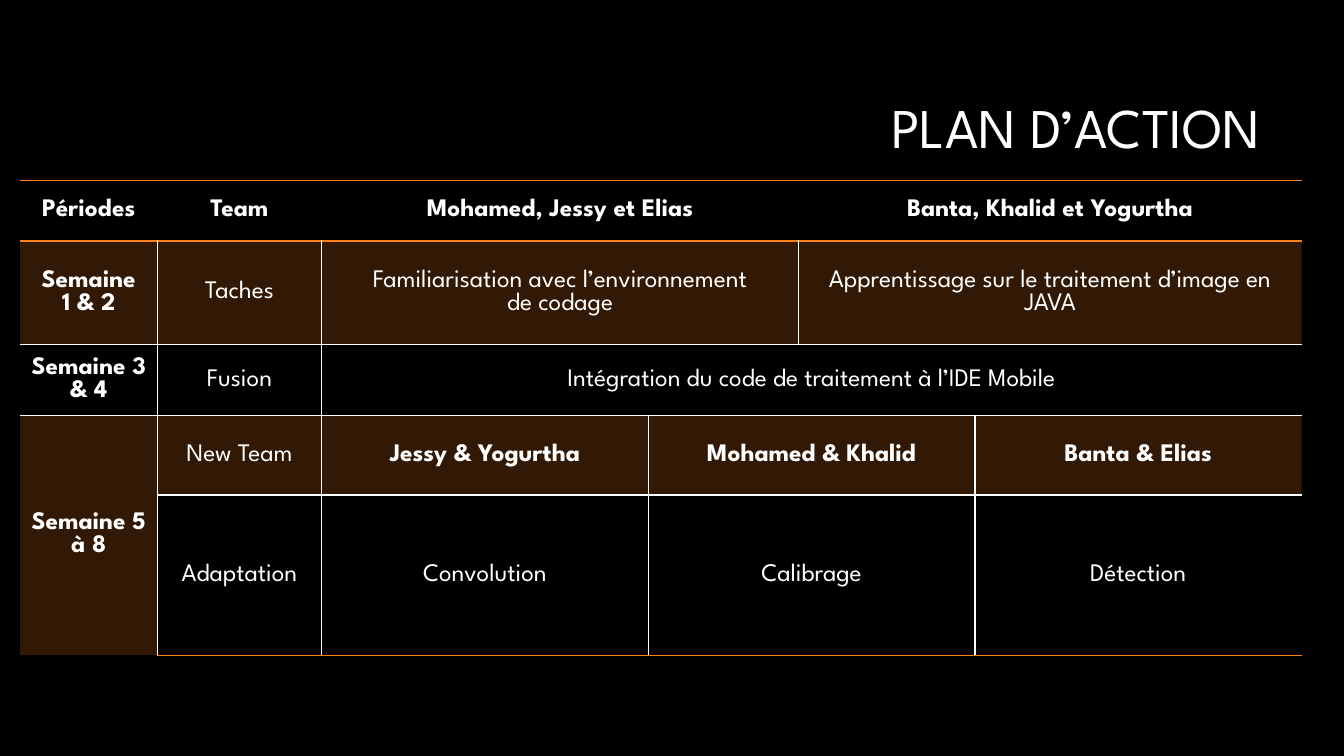
from lxml import etree
from pptx import Presentation
from pptx.dml.color import RGBColor
from pptx.enum.text import MSO_ANCHOR, PP_ALIGN
from pptx.oxml.ns import qn
from pptx.util import Inches, Pt

TITLE = "PLAN D’ACTION"
COLUMN_WIDTHS = [1.36, 1.63, 3.24, 1.49, 1.75, 3.24]
ROW_HEIGHTS = [0.6, 1.03, 0.62, 0.79, 1.59]
# Each row: (column, rows spanned, columns spanned, text, bold)
PLAN = [
    [(0, 1, 1, "Périodes", True), (1, 1, 1, "Team", True),
     (2, 1, 2, "Mohamed, Jessy et Elias", True),
     (4, 1, 2, "Banta, Khalid et Yogurtha", True)],
    [(0, 1, 1, "Semaine\n1 & 2", True), (1, 1, 1, "Taches", False),
     (2, 1, 2, "Familiarisation avec l’environnement\nde codage", False),
     (4, 1, 2, "Apprentissage sur le traitement d’image en JAVA", False)],
    [(0, 1, 1, "Semaine 3 & 4", True), (1, 1, 1, "Fusion", False),
     (2, 1, 4, "Intégration du code de traitement à l’IDE Mobile", False)],
    [(0, 2, 1, "Semaine 5 à 8", True), (1, 1, 1, "New Team", False),
     (2, 1, 1, "Jessy & Yogurtha", True),
     (3, 1, 2, "Mohamed & Khalid", True),
     (5, 1, 1, "Banta & Elias", True)],
    [(1, 1, 1, "Adaptation", False), (2, 1, 1, "Convolution", False),
     (3, 1, 2, "Calibrage", False), (5, 1, 1, "Détection", False)],
]
TINTED_ROWS = {1, 3}
ACCENT_RULES = {0, 1, len(ROW_HEIGHTS)}
COLORS = {"background": "000000", "text": "FFFFFF", "accent": "FE801A"}
FONT = "League Spartan"


def write(frame, text, size, align, bold=False):
    frame.text = text
    for paragraph in frame.paragraphs:
        paragraph.alignment = align
        for run in paragraph.runs:
            run.font.name = FONT
            run.font.size = Pt(size)
            run.font.bold = bold
            run.font.color.rgb = RGBColor.from_string(COLORS["text"])


def draw_borders(cell, edges):
    """Draw the edges, given as tag to colour name; None hides an edge."""
    properties = cell._tc.get_or_add_tcPr()
    for tag in ("lnL", "lnR", "lnT", "lnB"):
        line = etree.SubElement(properties, qn(f"a:{tag}"), w=str(Pt(1)))
        if edges[tag]:
            fill = etree.SubElement(line, qn("a:solidFill"))
            etree.SubElement(fill, qn("a:srgbClr"), val=COLORS[edges[tag]])
        else:
            etree.SubElement(line, qn("a:noFill"))


def tint(cell, tinted):
    if not tinted:
        cell.fill.background()
        return
    cell.fill.solid()
    cell.fill.fore_color.rgb = RGBColor.from_string(COLORS["accent"])
    color = cell._tc.tcPr.find(qn("a:solidFill")).find(qn("a:srgbClr"))
    etree.SubElement(color, qn("a:alpha"), val="20000")


def column_rule(index, row):
    inside = 0 < index < len(COLUMN_WIDTHS)
    return "text" if inside and row > 0 else None


def row_rule(index):
    return "accent" if index in ACCENT_RULES else "text"


def fill_block(table, top, left, rows, columns, text, bold):
    """Fill one cell or merged block, ruling only its outer edges."""
    bottom, right = top + rows, left + columns
    origin = table.cell(top, left)
    if rows * columns > 1:
        origin.merge(table.cell(bottom - 1, right - 1))
    for row in range(top, bottom):
        for column in range(left, right):
            cell = table.cell(row, column)
            draw_borders(cell, {
                "lnL": column_rule(left, row) if column == left else None,
                "lnR": column_rule(right, row) if column == right - 1 else None,
                "lnT": row_rule(top) if row == top else None,
                "lnB": row_rule(bottom) if row == bottom - 1 else None,
            })
            tint(cell, top in TINTED_ROWS)
    origin.vertical_anchor = MSO_ANCHOR.MIDDLE
    origin.margin_left = origin.margin_right = Inches(0.11)
    write(origin.text_frame, text, 18, PP_ALIGN.CENTER, bold)


def add_title(slide):
    title = slide.shapes.add_textbox(
        Inches(3.18), Inches(0.59), Inches(9.42), Inches(1.41)).text_frame
    title.word_wrap = True
    title.vertical_anchor = MSO_ANCHOR.MIDDLE
    write(title, TITLE, 40, PP_ALIGN.RIGHT)
    title.paragraphs[0].line_spacing = 0.9


def add_plan(slide):
    table = slide.shapes.add_table(
        len(ROW_HEIGHTS), len(COLUMN_WIDTHS), Inches(0.2), Inches(1.79),
        Inches(sum(COLUMN_WIDTHS)), Inches(sum(ROW_HEIGHTS))).table
    table.first_row = table.horz_banding = False
    for column, width in zip(table.columns, COLUMN_WIDTHS):
        column.width = Inches(width)
    for row, height in zip(table.rows, ROW_HEIGHTS):
        row.height = Inches(height)
    for top, blocks in enumerate(PLAN):
        for left, rows, columns, text, bold in blocks:
            fill_block(table, top, left, rows, columns, text, bold)


def main():
    deck = Presentation()
    deck.slide_width, deck.slide_height = Inches(13.33), Inches(7.5)
    slide = deck.slides.add_slide(deck.slide_layouts[6])
    slide.background.fill.solid()
    slide.background.fill.fore_color.rgb = RGBColor.from_string(
        COLORS["background"])
    add_title(slide)
    add_plan(slide)
    deck.save("out.pptx")


if __name__ == "__main__":
    main()
